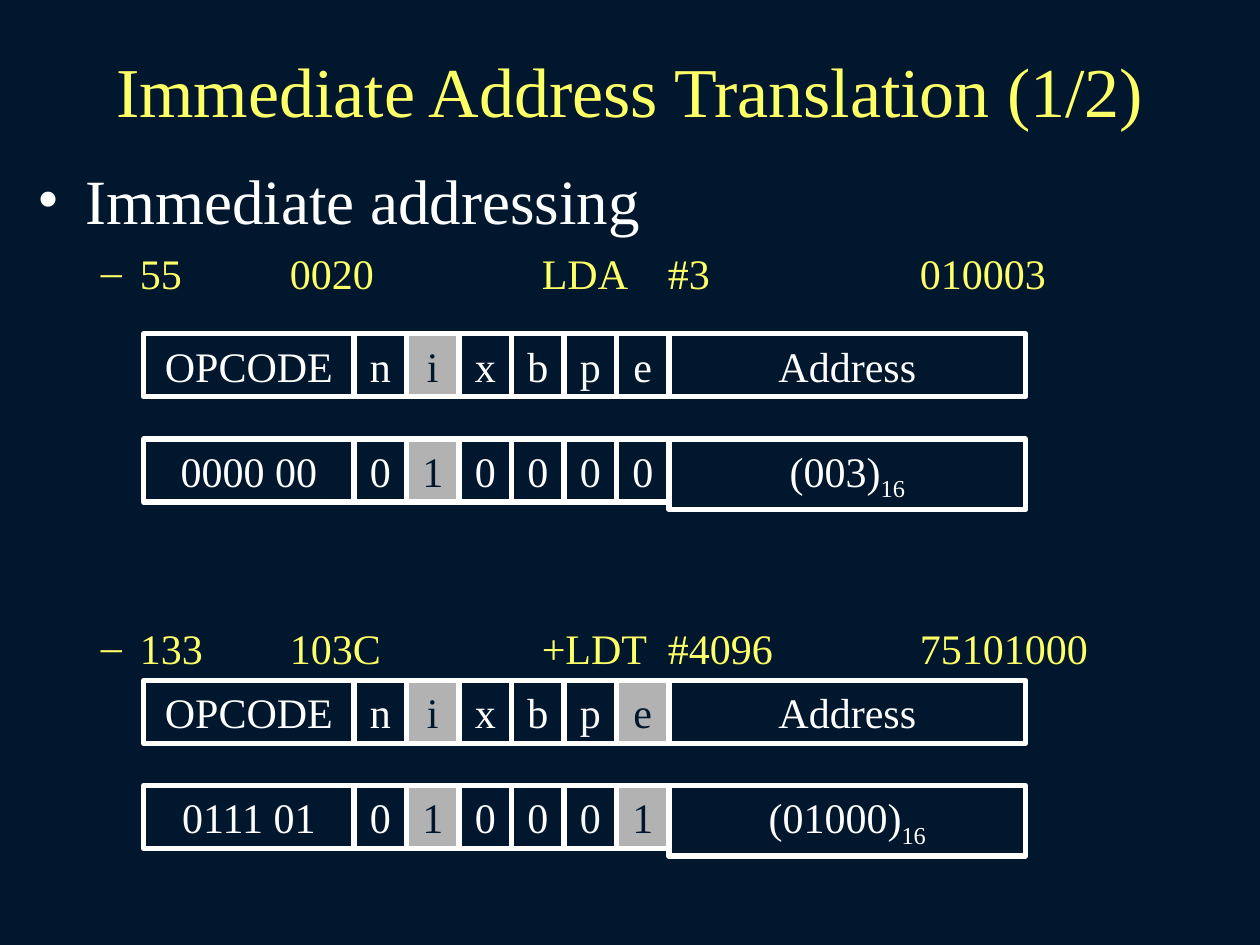
"""Build a slide on translating immediate addresses into object code."""
from dataclasses import dataclass

from lxml import etree
from pptx import Presentation
from pptx.dml.color import RGBColor
from pptx.enum.shapes import MSO_SHAPE
from pptx.enum.text import MSO_ANCHOR, MSO_AUTO_SIZE, PP_ALIGN
from pptx.oxml.ns import qn
from pptx.util import Inches, Pt

RECTANGLE = MSO_SHAPE.RECTANGLE
TOP, MIDDLE = MSO_ANCHOR.TOP, MSO_ANCHOR.MIDDLE
NO_AUTOFIT = MSO_AUTO_SIZE.NONE
LEFT, CENTER = PP_ALIGN.LEFT, PP_ALIGN.CENTER


@dataclass(frozen=True)
class Theme:
    font: str = "Times New Roman"
    background: str = "00172E"
    accent: str = "FFFF66"
    text: str = "FFFFFF"
    soft_text: str = "F8F8F8"
    highlight: str = "B2B2B2"
    title_size: int = 40
    topic_size: int = 36
    detail_size: int = 24
    line_width: int = 3


theme = Theme()


def write_text(para, text, *, size=theme.detail_size, color=theme.text,
               align=CENTER, before=0, subscript=""):
    para.alignment = align
    para.space_before = Pt(before)
    for words, baseline in ((text, None), (subscript, "-25000")):
        if words:
            span = para.add_run()
            span.text = words
            span.font.name = theme.font
            span.font.size = Pt(size)
            span.font.color.rgb = RGBColor.from_string(color)
            if baseline:
                span.font._element.set("baseline", baseline)


def add_bullet(para, symbol, color, margin, hanging, tabs=()):
    properties = para._p.get_or_add_pPr()
    properties.set("marL", str(Inches(margin)))
    properties.set("indent", str(-Inches(hanging)))
    bullet_color = etree.SubElement(properties, qn("a:buClr"))
    etree.SubElement(bullet_color, qn("a:srgbClr"), val=color)
    etree.SubElement(properties, qn("a:buFont"), typeface=theme.font)
    etree.SubElement(properties, qn("a:buChar"), char=symbol)
    if tabs:
        tab_list = etree.SubElement(properties, qn("a:tabLst"))
        for position in tabs:
            etree.SubElement(tab_list, qn("a:tab"), pos=str(Inches(position)), algn="l")


deck = Presentation()
deck.slide_width, deck.slide_height = Inches(10), Inches(7.5)
page = deck.slides.add_slide(deck.slide_layouts[1])
page.background.fill.solid()
page.background.fill.fore_color.rgb = RGBColor.from_string(theme.background)

title, body = page.shapes.title, page.placeholders[1]
for box, anchor, (left, top, width, height) in (
    (title, MIDDLE, (0.75, 0.25, 8.5, 0.92)),
    (body, TOP, (0.2, 1.23, 9.29, 6.27)),
):
    box.left, box.top = Inches(left), Inches(top)
    box.width, box.height = Inches(width), Inches(height)
    box.text_frame.vertical_anchor = anchor
    box.text_frame.auto_size = NO_AUTOFIT
    box.text_frame.word_wrap = True

write_text(title.text_frame.paragraphs[0], "Immediate Address Translation (1/2)",
           size=theme.title_size, color=theme.accent)

topic = body.text_frame.paragraphs[0]
add_bullet(topic, "•", theme.text, 0.38, 0.38)
write_text(topic, "Immediate addressing", size=theme.topic_size, align=LEFT)

statements = (
    (("55", "0020", "LDA", "#3", "010003"), 6),
    (("133", "103C", "+LDT", "#4096", "75101000"), 185.5),
)
for fields, gap in statements:
    para = body.text_frame.add_paragraph()
    para.level = 1
    add_bullet(para, "–", theme.accent, 0.81, 0.31, tabs=(2, 4, 5, 7))
    write_text(para, "\t".join(fields), color=theme.accent, align=LEFT, before=gap)

names = ("OPCODE", *"nixbpe", "Address")
instructions = (
    (2.65, ("0000 00", *"010000", "(003)"), "i"),
    (5.4, ("0111 01", *"010001", "(01000)"), "ie"),
)
bit_width = 2.5 / 6
widths = (1.67, *[bit_width] * 6, 2.83)
row_step = 0.835

for group_top, values, set_bits in instructions:
    group = page.shapes.add_group_shape()
    for row, contents in enumerate((names, values)):
        left = 1.14
        for name, content, width in zip(names, contents, widths):
            subscript = "16" if row == 1 and name == "Address" else ""
            height = 0.56 if subscript else 0.5
            cell = group.shapes.add_shape(
                RECTANGLE, Inches(left), Inches(group_top + row * row_step),
                Inches(width), Inches(height))
            cell.shadow.inherit = False
            cell.line.color.rgb = RGBColor.from_string(theme.text)
            cell.line.width = Pt(theme.line_width)
            color = theme.soft_text if name == "p" else theme.text
            if name in set_bits:
                cell.fill.solid()
                cell.fill.fore_color.rgb = RGBColor.from_string(theme.highlight)
                color = theme.background
            else:
                cell.fill.background()
            cell.text_frame.vertical_anchor = TOP
            cell.text_frame.word_wrap = True
            write_text(cell.text_frame.paragraphs[0], content,
                       color=color, subscript=subscript)
            left += width

deck.save("out.pptx")
